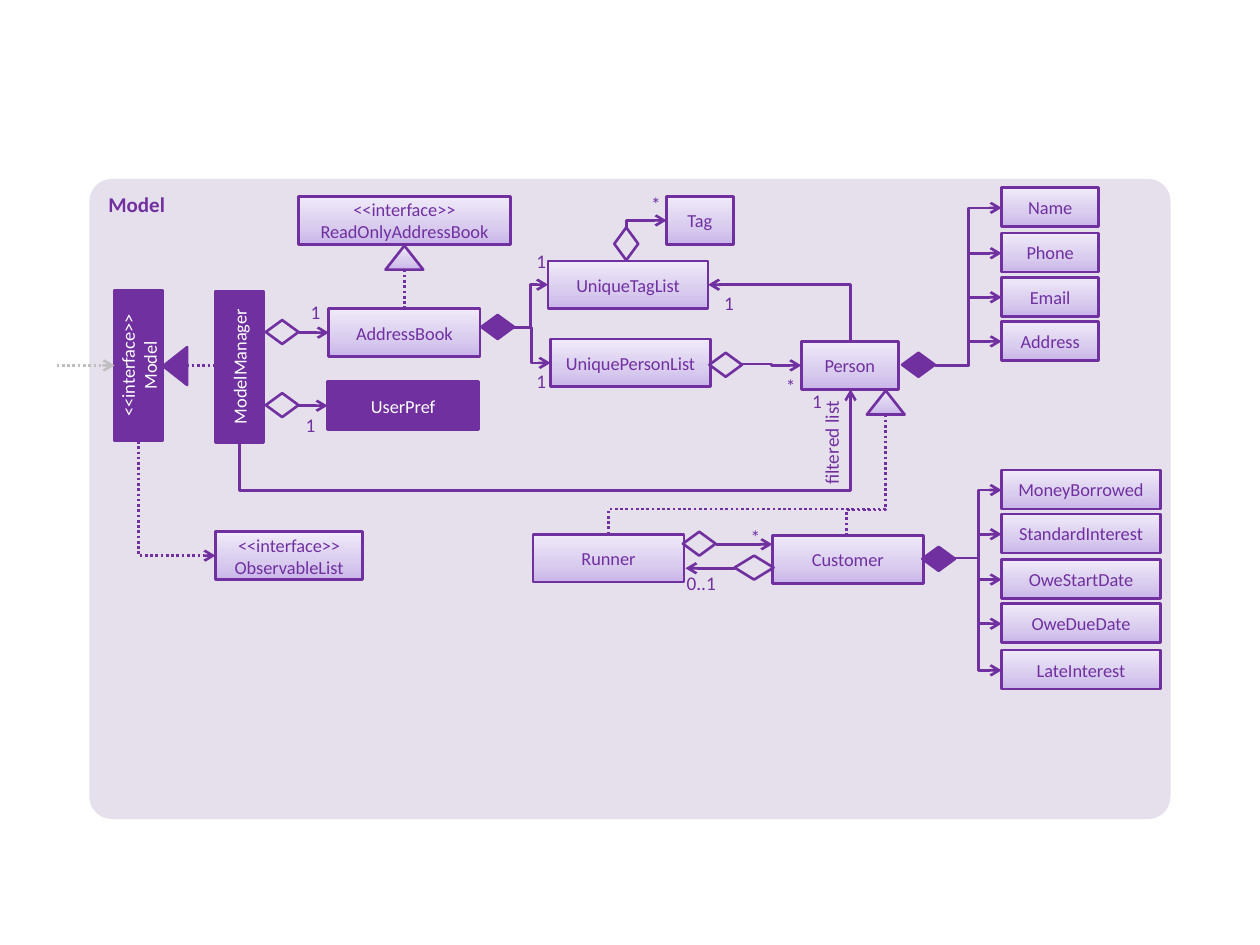
from copy import deepcopy

from pptx import Presentation
from pptx import util as u
from pptx.dml.color import RGBColor
from pptx.enum import dml, shapes, text
from pptx.oxml import ns, xmlchemy

PURPLE, PANEL, WHITE, GREY = "7030A0", "E6E0EC", "FFFFFF", "BFBFBF"
GRADIENT = [(0, "C9B5E8"), (0.35, "D8CBEE"), (1, "F0EAF9")]
SHAPE = shapes.MSO_SHAPE
ALIGN = text.PP_ALIGN


def rgb(value):
    return RGBColor.from_string(value)


class Diagram:
    font = "Calibri"
    box_size = 10.5
    label_size = 11
    line_width = u.Pt(1.5)

    def __init__(self, slide):
        self.s = slide

    def add_text(self, tf, content, size, color, align=ALIGN.CENTER, bold=False):
        tf.word_wrap = True
        p = tf.paragraphs[0]
        p.alignment = align
        for i, line in enumerate(content.split("\n")):
            if i:
                p.add_line_break()
            r = p.add_run()
            r.text = line
            r.font.name = self.font
            r.font.size = u.Pt(size)
            r.font.bold = bold
            r.font.color.rgb = rgb(color)

    def shape(self, kind, at, fill=None, rotation=0):
        sp = self.s.shapes.add_shape(kind, *map(u.Inches, at))
        sp.shadow.inherit = False
        sp.rotation = rotation
        sp.line.color.rgb = rgb(PURPLE)
        sp.line.width = self.line_width
        if fill is None:
            sp.fill.background()
        elif fill is GRADIENT:
            sp.fill.gradient()
            sp.fill.gradient_angle = 90
            stops = sp._element.spPr.find(".//" + ns.qn("a:gsLst"))
            stops.append(deepcopy(stops[0]))
            for stop, (position, color) in zip(sp.fill.gradient_stops, GRADIENT):
                stop.position = position
                stop.color.rgb = rgb(color)
        else:
            sp.fill.solid()
            sp.fill.fore_color.rgb = rgb(fill)
        return sp

    def panel(self, title, at):
        sp = self.shape(SHAPE.ROUNDED_RECTANGLE, at, PANEL)
        sp.adjustments[0] = 0.035
        sp.line.fill.background()
        sp.text_frame.vertical_anchor = text.MSO_ANCHOR.TOP
        self.add_text(sp.text_frame, title, 12, PURPLE, ALIGN.LEFT, True)

    def box(self, name, left, top, width, height=0.38, solid=False, rotation=0):
        fill, color = (PURPLE, WHITE) if solid else (GRADIENT, PURPLE)
        sp = self.shape(SHAPE.RECTANGLE, (left, top, width, height), fill, rotation)
        sp.text_frame.vertical_anchor = text.MSO_ANCHOR.MIDDLE
        self.add_text(sp.text_frame, name, self.box_size, color)

    def diamond(self, left, top, width=0.26, fill=None, rotation=0):
        self.shape(SHAPE.FLOWCHART_DECISION, (left, top, width, 0.19), fill, rotation)

    def triangle(self, left, top, fill=GRADIENT, rotation=0):
        self.shape(SHAPE.ISOSCELES_TRIANGLE, (left, top, 0.3, 0.19), fill, rotation)

    def label(self, content, left, top, width=0.21, height=0.2):
        tf = self.s.shapes.add_textbox(*map(u.Inches, (left, top, width, height))).text_frame
        tf.margin_left = tf.margin_right = tf.margin_top = tf.margin_bottom = 0
        self.add_text(tf, content, self.label_size, PURPLE)

    def side_label(self, content, left, top, width, height):
        sp = self.s.shapes.add_textbox(*map(u.Inches, (left, top, width, height)))
        sp.rotation = 270
        self.add_text(sp.text_frame, content, self.label_size, PURPLE, ALIGN.RIGHT)

    def connect(self, kind, start, end, arrow=True, dotted=False, color=PURPLE):
        c = self.s.shapes.add_connector(kind, *map(u.Inches, (*start, *end)))
        c.line.color.rgb = rgb(color)
        c.line.width = self.line_width
        if dotted:
            c.line.dash_style = dml.MSO_LINE.ROUND_DOT
        spPr = c._element.spPr
        if arrow:
            tail = xmlchemy.OxmlElement("a:tailEnd")
            tail.set("type", "arrow")
            spPr.find(ns.qn("a:ln")).append(tail)
        spPr.append(xmlchemy.OxmlElement("a:effectLst"))
        return c

    def straight(self, start, end, **style):
        self.connect(shapes.MSO_CONNECTOR.STRAIGHT, start, end, **style)

    def elbow(self, start, end, **style):
        self.connect(shapes.MSO_CONNECTOR.ELBOW, start, end, **style)

    def upright_elbow(self, start, end, bend=None, **style):
        (x1, y1), (x2, y2) = start, end
        dx, dy = x2 - x1, y2 - y1
        mid_x, mid_y = (x1 + x2) / 2, (y1 + y2) / 2
        half_w = abs(dy) / 2 * (-1 if dx > 0 else 1)
        half_h = abs(dx) / 2 * (-1 if dy < 0 else 1)
        c = self.connect(shapes.MSO_CONNECTOR.ELBOW, (mid_x - half_w, mid_y - half_h),
                         (mid_x + half_w, mid_y + half_h), **style)
        spPr = c._element.spPr
        turn = 270 if (dx > 0) == (dy > 0) else 90
        spPr.find(ns.qn("a:xfrm")).set("rot", str(turn * 60000))
        geometry = spPr.find(ns.qn("a:prstGeom"))
        if bend is None:
            geometry.set("prst", "bentConnector2")
        else:
            guide = xmlchemy.OxmlElement("a:gd")
            guide.set("name", "adj1")
            guide.set("fmla", f"val {round(bend * 100000)}")
            geometry.find(ns.qn("a:avLst")).append(guide)

    def attributes(self, names, tops, width, source):
        for name, top in zip(names, tops):
            self.box(name, 7.95, top, width, 0.31)
            self.elbow(source, (7.95, top + 0.16))


def main():
    prs = Presentation()
    prs.slide_width, prs.slide_height = u.Inches(10), u.Inches(7.5)
    d = Diagram(prs.slides.add_slide(prs.slide_layouts[6]))

    d.panel("Model", (0.71, 1.42, 8.58, 5.08))
    d.box("UserPref", 2.6, 3.03, 1.2, solid=True)
    d.box("ModelManager", 1.3, 2.72, 1.2, solid=True, rotation=270)
    d.box("<<interface>>\nModel", 0.5, 2.71, 1.2, solid=True, rotation=270)
    for name, left, top, width in [
        ("AddressBook", 2.61, 2.45, 1.2),
        ("UniquePersonList", 4.37, 2.69, 1.27),
        ("UniqueTagList", 4.35, 2.07, 1.27),
        ("Person", 6.36, 2.71, 0.77),
        ("Tag", 5.29, 1.56, 0.53),
        ("<<interface>>\nReadOnlyAddressBook", 2.37, 1.56, 1.68),
        ("<<interface>>\nObservableList", 1.71, 4.22, 1.17),
        ("Runner", 4.23, 4.24, 1.2),
        ("Customer", 6.13, 4.25, 1.2),
    ]:
        d.box(name, left, top, width)

    d.attributes(["Name", "Phone", "Email", "Address"],
                 [1.49, 1.85, 2.2, 2.55], 0.77, (7.42, 2.9))
    d.attributes(["MoneyBorrowed", "StandardInterest", "OweStartDate", "OweDueDate", "LateInterest"],
                 [3.73, 4.08, 4.44, 4.79, 5.16], 1.26, (7.58, 4.43))

    for start, end in [((2.36, 3.22), (2.6, 3.22)), ((2.37, 2.64), (2.61, 2.64)),
                       ((5.68, 4.32), (6.13, 4.32)), ((5.83, 4.51), (5.44, 4.51))]:
        d.straight(start, end)
    d.straight((0.45, 2.9), (0.91, 2.9), dotted=True, color=GREY)
    d.straight((1.48, 2.9), (1.72, 2.9), arrow=False, dotted=True)
    d.straight((3.21, 2.14), (3.21, 2.46), arrow=False, dotted=True)

    for start, end in [((4.07, 2.6), (4.37, 2.88)), ((4.07, 2.6), (4.35, 2.26)),
                       ((5.89, 2.89), (6.36, 2.9))]:
        d.elbow(start, end)
    d.upright_elbow((1.9, 3.51), (6.75, 3.09), bend=-0.91)
    d.upright_elbow((4.97, 1.81), (5.29, 1.75))
    d.upright_elbow((6.75, 2.71), (5.62, 2.26))
    d.upright_elbow((1.1, 3.5), (1.71, 4.41), dotted=True)
    for child in [(6.72, 4.25), (4.83, 4.24)]:
        d.upright_elbow((7.03, 3.29), child, bend=0.79, arrow=False, dotted=True)

    for left, top in [(2.11, 3.12), (2.11, 2.54), (5.63, 2.8), (5.42, 4.22)]:
        d.diamond(left, top)
    for left, top in [(3.82, 2.5), (7.16, 2.8), (7.32, 4.34)]:
        d.diamond(left, top, fill=PURPLE)
    d.diamond(4.84, 1.84, rotation=270)
    d.diamond(5.83, 4.41, width=0.31)

    d.triangle(1.24, 2.81, PURPLE, 270)
    d.triangle(3.06, 1.95)
    d.triangle(6.88, 3.1)

    for content, left, top in [
        ("1", 4.19, 1.98), ("1", 4.19, 2.93), ("1", 5.68, 2.31), ("1", 2.4, 2.38),
        ("1", 2.36, 3.28), ("1", 6.38, 3.09), ("*", 5.1, 1.53), ("*", 6.17, 2.97),
        ("*", 5.89, 4.17),
    ]:
        d.label(content, left, top)
    d.label("0..1", 5.44, 4.53, 0.25, 0.19)
    d.side_label("filtered list", 6.12, 3.42, 0.96, 0.29)

    prs.save("out.pptx")


if __name__ == "__main__":
    main()
